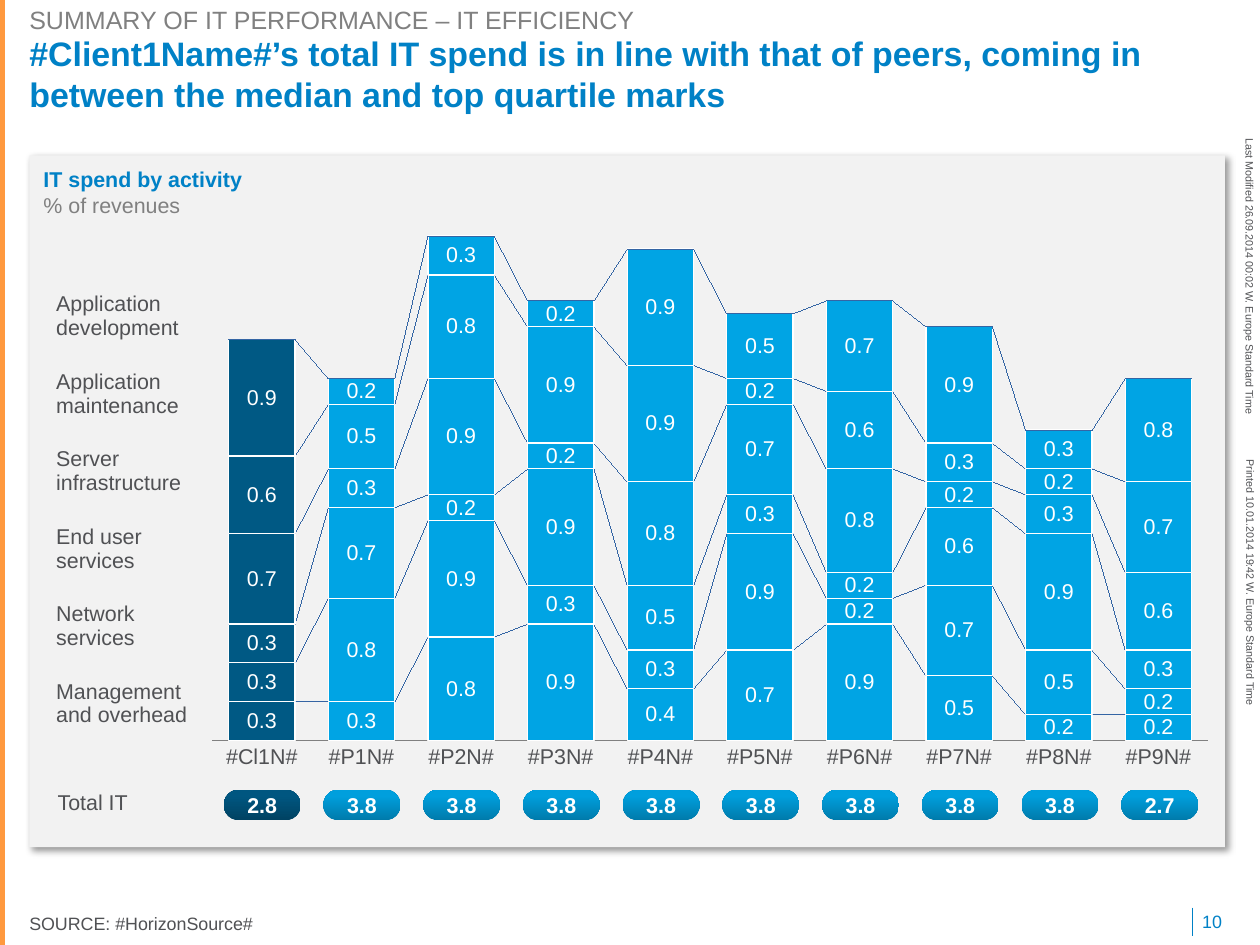
import pptx
import pptx.util
import pptx.chart.data
import pptx.oxml
from pptx.dml.color import RGBColor
from pptx.enum.chart import XL_CHART_TYPE, XL_LABEL_POSITION, XL_TICK_MARK
from pptx.enum.shapes import MSO_CONNECTOR, MSO_SHAPE
from pptx.enum.text import MSO_ANCHOR, PP_ALIGN
from pptx.oxml.ns import nsdecls, qn
from pptx.util import Cm

BLUE = RGBColor(0x00, 0x81, 0xC6)
PEER_BLUE = RGBColor(0x00, 0xA4, 0xE4)
CLIENT_BLUE = RGBColor(0x00, 0x59, 0x84)
PEER_PILL = (RGBColor(0x00, 0x7A, 0xAA), RGBColor(0x00, 0x9F, 0xDD))
CLIENT_PILL = (RGBColor(0x00, 0x42, 0x62), RGBColor(0x00, 0x56, 0x80))
ORANGE = RGBColor(0xFF, 0x99, 0x3E)
PANEL_GREY = RGBColor(0xF2, 0xF2, 0xF2)
GREY = RGBColor(0x80, 0x80, 0x80)
DARK_GREY = RGBColor(0x50, 0x51, 0x54)
WHITE = RGBColor(0xFF, 0xFF, 0xFF)

FONT = "Arial"
LEFT = 0.58

ACTIVITIES = ["Application development", "Application maintenance", "Server infrastructure",
              "End user services", "Network services", "Management and overhead"]
COMPANIES = ["#Cl1N#"] + [f"#P{n}N#" for n in range(1, 10)]
TOTALS = ["2.8"] + ["3.8"] * 8 + ["2.7"]
# Bottom segment first
SPEND = [
    (0.3, 0.3, 0.8, 0.9, 0.4, 0.7, 0.9, 0.5, 0.2, 0.2),
    (0.3, 0.8, 0.9, 0.3, 0.3, 0.9, 0.2, 0.7, 0.5, 0.2),
    (0.3, 0.7, 0.2, 0.9, 0.5, 0.3, 0.2, 0.6, 0.9, 0.3),
    (0.7, 0.3, 0.9, 0.2, 0.8, 0.7, 0.8, 0.2, 0.3, 0.6),
    (0.6, 0.5, 0.8, 0.9, 0.9, 0.2, 0.6, 0.3, 0.2, 0.7),
    (0.9, 0.2, 0.3, 0.2, 0.9, 0.5, 0.7, 0.9, 0.3, 0.8),
]

SHADOW = (f'<a:effectLst {nsdecls("a")}><a:outerShdw blurRad="50800" dist="38100" dir="2700000" '
          'algn="tl" rotWithShape="0"><a:srgbClr val="000000"><a:alpha val="40000"/></a:srgbClr>'
          '</a:outerShdw></a:effectLst>')
SERIES_LINES = (f'<c:serLines {nsdecls("c", "a")}><c:spPr><a:ln w="6350"><a:solidFill>'
                '<a:srgbClr val="2F5F9E"/></a:solidFill></a:ln></c:spPr></c:serLines>')
PLOT_LAYOUT = (f'<c:layout {nsdecls("c")}><c:manualLayout><c:layoutTarget val="inner"/>'
               '<c:xMode val="edge"/><c:yMode val="edge"/><c:x val="0.02"/><c:y val="0.13"/>'
               '<c:w val="0.96"/><c:h val="0.81"/></c:manualLayout></c:layout>')
NO_GRID_STYLE = "{2D5ABB26-0587-4C30-8999-92F81FD0307C}"


def write(frame, text, *, size=12, color=DARK_GREY, bold=False, align=PP_ALIGN.LEFT,
          anchor=MSO_ANCHOR.TOP, wrap=True, margin=0, new_paragraph=False):
    """Put formatted text into a text frame."""
    frame.word_wrap = wrap
    frame.vertical_anchor = anchor
    frame.margin_left = frame.margin_right = Cm(margin)
    frame.margin_top = frame.margin_bottom = Cm(margin / 2)
    paragraph = frame.add_paragraph() if new_paragraph else frame.paragraphs[0]
    paragraph.alignment = align
    run = paragraph.add_run()
    run.text = text
    run.font.name = FONT
    run.font.size = pptx.util.Pt(size)
    run.font.bold = bold
    run.font.color.rgb = color


class SlideBuilder:
    def __init__(self, slide):
        self.slide = slide
        self.shapes = slide.shapes

    def title(self, text, box):
        heading = self.shapes.title
        heading.left, heading.top, heading.width, heading.height = map(Cm, box)
        write(heading.text_frame, text, size=19, color=BLUE, bold=True)

    def text(self, text, box, rotation=0, **style):
        label = self.shapes.add_textbox(*map(Cm, box))
        label.rotation = rotation
        write(label.text_frame, text, **style)
        return label.text_frame

    def block(self, box, color, kind=MSO_SHAPE.RECTANGLE):
        block = self.shapes.add_shape(kind, *map(Cm, box))
        block.shadow.inherit = False
        block.line.fill.background()
        block.fill.solid()
        block.fill.fore_color.rgb = color
        return block

    def panel(self, box):
        properties = self.block(box, PANEL_GREY).element.spPr
        properties.replace(properties.find(qn("a:effectLst")), pptx.oxml.parse_xml(SHADOW))

    def pill(self, text, box, colors):
        pill = self.block(box, colors[0], MSO_SHAPE.ROUNDED_RECTANGLE)
        pill.adjustments[0] = 0.5
        pill.fill.gradient()
        pill.fill.gradient_angle = 90
        for stop, color, position in zip(pill.fill.gradient_stops, colors, (0, 0.8)):
            stop.color.rgb = color
            stop.position = position
        write(pill.text_frame, text, color=WHITE, bold=True, align=PP_ALIGN.CENTER,
              anchor=MSO_ANCHOR.MIDDLE)

    def line(self, ends, color):
        rule = self.shapes.add_connector(MSO_CONNECTOR.STRAIGHT, *map(Cm, ends))
        rule.line.color.rgb = color
        rule.line.width = pptx.util.Pt(0.75)
        rule.element.spPr.append(pptx.oxml.parse_xml(f'<a:effectLst {nsdecls("a")}/>'))

    def label_table(self, labels, box):
        frame = self.shapes.add_table(len(labels), 1, *map(Cm, box))
        table = frame.table
        table.first_row = table.horz_banding = False
        for style_id in frame.element.iter(qn("a:tableStyleId")):
            style_id.text = NO_GRID_STYLE
        for row, label in zip(table.rows, labels):
            cell = row.cells[0]
            cell.fill.background()
            write(cell.text_frame, label)
            cell.margin_left = cell.margin_right = Cm(0.25)
            cell.margin_top = cell.margin_bottom = Cm(0.13)

    def stacked_chart(self, categories, rows, box):
        data = pptx.chart.data.CategoryChartData(number_format="#,##0.0")
        data.categories = categories
        for number, values in enumerate(rows, 1):
            data.add_series(f"Series {number}", values)
        chart = self.shapes.add_chart(XL_CHART_TYPE.COLUMN_STACKED, *map(Cm, box), data).chart
        chart.has_legend = chart.has_title = False
        chart.font.name = FONT
        chart.font.size = pptx.util.Pt(12)
        chart.font.color.rgb = DARK_GREY

        # Axes
        spend_axis, company_axis = chart.value_axis, chart.category_axis
        spend_axis.minimum_scale, spend_axis.maximum_scale = 0, 4
        spend_axis.has_major_gridlines = False
        spend_axis.visible = False
        company_axis.major_tick_mark = XL_TICK_MARK.NONE
        company_axis.format.line.color.rgb = GREY
        company_axis.format.line.width = pptx.util.Pt(0.75)

        # Columns, with the client highlighted
        plot = chart.plots[0]
        plot.gap_width, plot.overlap = 50, 100
        plot.vary_by_categories = False
        for series in plot.series:
            client = series.points[0]
            for part, color in ((series, PEER_BLUE), (client, CLIENT_BLUE)):
                part.format.fill.solid()
                part.format.fill.fore_color.rgb = color
                part.format.line.color.rgb = WHITE
                part.format.line.width = pptx.util.Pt(0.75)
            labels = series.data_labels
            labels.show_value = True
            labels.position = XL_LABEL_POSITION.CENTER
            labels.number_format, labels.number_format_is_linked = "#,##0.0", False
            labels.font.size = pptx.util.Pt(12)
            labels.font.color.rgb = WHITE

        # Connecting lines and plot position
        area = chart.element.find(".//" + qn("c:plotArea"))
        area.find(".//" + qn("c:overlap")).addnext(pptx.oxml.parse_xml(SERIES_LINES))
        for layout in area.findall(qn("c:layout")):
            area.remove(layout)
        area.insert(0, pptx.oxml.parse_xml(PLOT_LAYOUT))


def main():
    deck = pptx.Presentation()
    deck.slide_width, deck.slide_height = Cm(24.89), Cm(18.67)
    page = SlideBuilder(deck.slides.add_slide(deck.slide_layouts[5]))

    # Page frame
    page.block((0, 0, 0.1, 18.67), ORANGE)
    page.line((23.55, 17.93, 23.55, 18.49), BLUE)
    page.text("10", (23.75, 17.98, 0.43, 0.43), size=10, color=BLUE,
              anchor=MSO_ANCHOR.MIDDLE, wrap=False)
    page.text("Last Modified 26.09.2014 00:02 W. Europe Standard Time",
              (21.92, 5.38, 5.54, 0.25), rotation=90, size=6, wrap=False)
    page.text("Printed 10.01.2014 19:42 W. Europe Standard Time",
              (22.23, 11.43, 4.95, 0.25), rotation=90, size=6, wrap=False)

    # Headings and source
    page.text("SUMMARY OF IT PERFORMANCE – IT EFFICIENCY", (LEFT, 0.08, 12.04, 0.61),
              size=14, color=GREY, wrap=False)
    page.title("#Client1Name#’s total IT spend is in line with that of peers, coming in "
               "between the median and top quartile marks", (LEFT, 0.64, 23.67, 1.63))
    page.text("SOURCE: #HorizonSource#", (LEFT, 18.03, 19.2, 0.43), size=10,
              anchor=MSO_ANCHOR.BOTTOM)

    # Spend by activity
    page.panel((LEFT, 3.07, 23.62, 13.67))
    caption = page.text("IT spend by activity", (0.86, 3.28, 8.99, 1.19), color=BLUE, bold=True)
    write(caption, "% of revenues", color=GREY, new_paragraph=True)
    page.stacked_chart(COMPANIES, SPEND, (3.78, 2.77, 20.5, 12.62))
    page.label_table(ACTIVITIES, (0.86, 5.64, 3.33, 9.19))

    # Totals
    page.text("Total IT", (1.14, 15.6, 3, 0.51))
    for column, total in enumerate(TOTALS):
        page.pill(total, (4.42 + 1.97 * column, 15.6, 1.52, 0.61),
                  PEER_PILL if column else CLIENT_PILL)

    deck.save("out.pptx")


if __name__ == "__main__":
    main()
